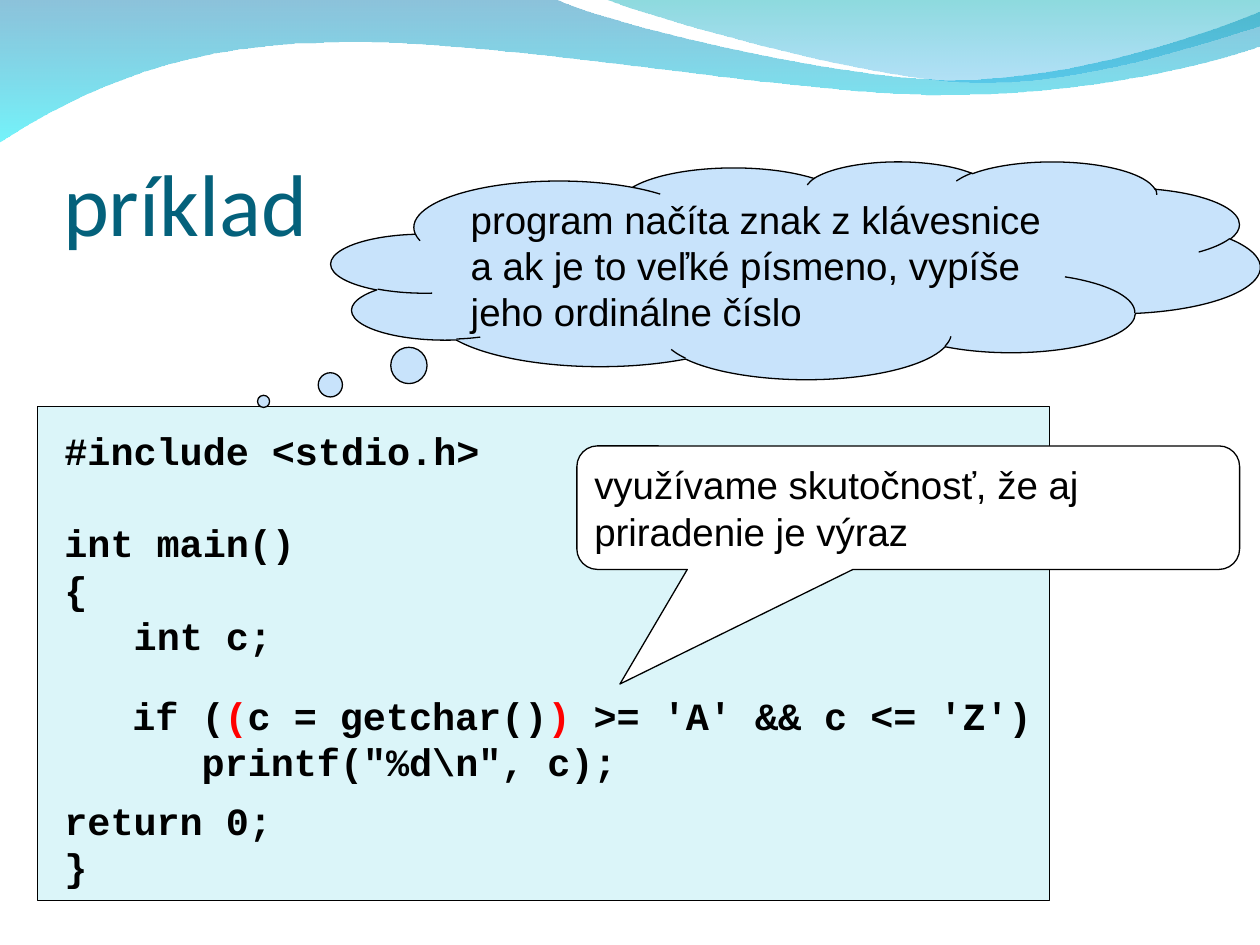
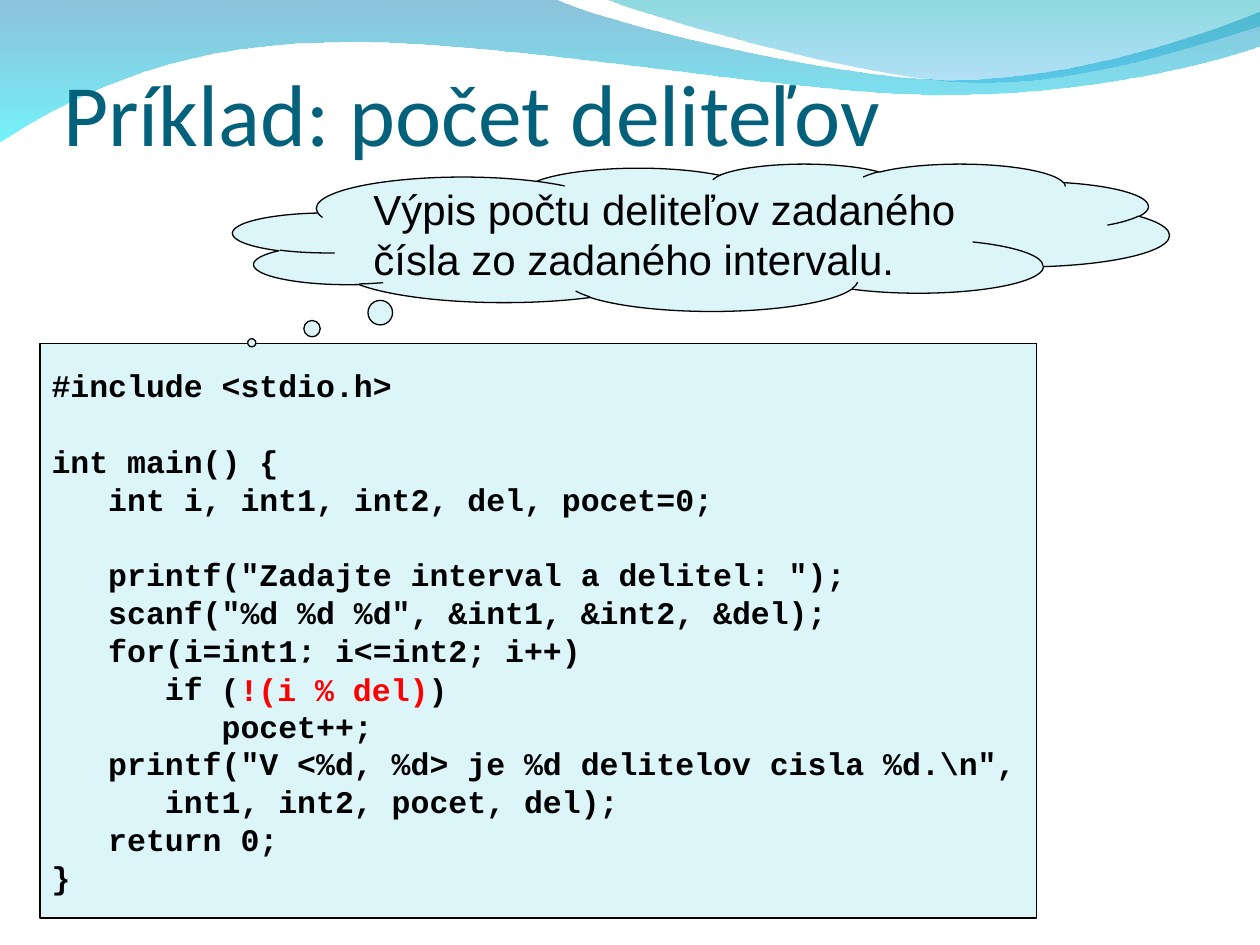
from lxml import etree
from pptx import Presentation
from pptx.dml.color import RGBColor
from pptx.enum.shapes import MSO_SHAPE
from pptx.enum.text import MSO_ANCHOR, MSO_AUTO_SIZE, PP_ALIGN
from pptx.oxml.ns import qn
from pptx.util import Cm, Pt

RECTANGLE = MSO_SHAPE.RECTANGLE
CLOUD = MSO_SHAPE.CLOUD_CALLOUT
SPEECH = MSO_SHAPE.ROUNDED_RECTANGULAR_CALLOUT
TOP, MIDDLE, BOTTOM = MSO_ANCHOR.TOP, MSO_ANCHOR.MIDDLE, MSO_ANCHOR.BOTTOM
LEFT = PP_ALIGN.LEFT
NO_AUTO_SIZE = MSO_AUTO_SIZE.NONE

BLACK = RGBColor(0x00, 0x00, 0x00)
WHITE = RGBColor(0xFF, 0xFF, 0xFF)
RED = RGBColor(0xFF, 0x00, 0x00)
TITLE_BLUE = RGBColor(0x04, 0x61, 0x7B)
PALE_CYAN = RGBColor(0xDB, 0xF5, 0xF9)
PALE_BLUE = RGBColor(0xC8, 0xE3, 0xFB)
WAVE_DARK = RGBColor(0x00, 0x79, 0xAF)
WAVE_CYAN = RGBColor(0x00, 0xEB, 0xF8)
WAVE_TEAL = RGBColor(0x00, 0xAD, 0xB6)
WAVE_SKY = RGBColor(0x00, 0x9B, 0xE5)

CODE_FONT = "Courier New"
LINE_PITCH = 1.2     # line height per point of text size
CODE_INDENT = 1.8    # three monospaced characters, per point of size


def write_text(shape, lines, font="Arial", size=22, color=BLACK, bold=False,
               anchor=MIDDLE, margins=(0.23, 0.13, 0, 0.13), pitch=LINE_PITCH):
    """Each line is (indent level, space before in points, runs); odd runs are red."""
    frame = shape.text_frame
    frame.word_wrap = True
    frame.auto_size = NO_AUTO_SIZE
    frame.vertical_anchor = anchor
    (frame.margin_left, frame.margin_top,
     frame.margin_right, frame.margin_bottom) = [Cm(margin) for margin in margins]
    for number, (level, gap, runs) in enumerate(lines):
        paragraph = frame.paragraphs[0] if number == 0 else frame.add_paragraph()
        paragraph.alignment = LEFT
        paragraph.space_before = Pt(gap)
        if pitch:
            paragraph.line_spacing = Pt(round(size * pitch, 1))
        if level:
            properties = paragraph._p.get_or_add_pPr()
            properties.set("marL", str(Pt(level * CODE_INDENT * size)))
        for position, text in enumerate(runs):
            run = paragraph.add_run()
            run.text = text
            run.font.name = font
            run.font.size = Pt(size)
            run.font.bold = bold
            run.font.color.rgb = RED if position % 2 else color


def add_panel(slide, kind, box, fill, adjustments=(), outlined=True):
    shape = slide.shapes.add_shape(kind, *[Cm(length) for length in box])
    shape.shadow.inherit = False
    shape.fill.solid()
    shape.fill.fore_color.rgb = fill
    if outlined:
        shape.line.color.rgb = BLACK
        shape.line.width = Pt(0.75)
    else:
        shape.line.fill.background()
    for index, value in enumerate(adjustments):
        shape.adjustments[index] = value
    return shape


presentation = Presentation()
presentation.slide_width = Cm(25.4)
presentation.slide_height = Cm(19.05)
title_only = presentation.slide_layouts[5]

# Slides with their titles
titles = [("príklad", 3.18), ("Príklad: počet deliteľov", 1.35)]
slides = []
for title_text, title_height in titles:
    slide = presentation.slides.add_slide(title_only)
    title = slide.shapes.title
    title.left, title.top = Cm(1.27), Cm(1.95)
    title.width, title.height = Cm(22.86), Cm(title_height)
    write_text(title, [(0, 0, [title_text])], font="Calibri", size=50,
               color=TITLE_BLUE, anchor=BOTTOM, margins=(0, 0.13, 0, 0), pitch=None)
    slides.append(slide)
getchar_slide, divisors_slide = slides

# Waves on the master: a segment has one point (line) or three (Bézier curve)
waves = [
    ((0, -0.03), [
        [(11.18, -0.03)],
        [(12.09, 0.43), (16.87, 1.6), (19.25, 1.6)],
        [(21.67, 1.6), (24.33, 0.66), (25.4, 0.23)],
        [(25.43, 0.91)],
        [(24.97, 1.12), (22.1, 1.93), (18.95, 1.91)],
        [(15.8, 1.91), (9.7, 0.71), (6.53, 0.86)],
        [(3.28, 0.89), (1.17, 2.11), (-0.03, 2.87)],
        [(0, -0.03)],
    ], [(WAVE_DARK, 45), (WAVE_CYAN, 55)]),
    ((12.17, -0.03), [
        [(12.93, 0.28), (17.32, 1.57), (19.53, 1.65)],
        [(21.74, 1.75), (24.41, 0.81), (25.4, 0.53)],
        [(25.4, 0)],
        [(12.17, -0.03)],
    ], [(WAVE_TEAL, 45), (WAVE_SKY, 30)]),
]
master_tree = presentation.slide_master.shapes.element
for layer, (start, segments, colors) in enumerate(waves):
    builder = getchar_slide.shapes.build_freeform(Cm(start[0]), Cm(start[1]), scale=1.0)
    builder.add_line_segments(
        [(Cm(x), Cm(y)) for segment in segments for x, y in segment], close=True)
    wave = builder.convert_to_shape()
    wave.shadow.inherit = False
    wave.line.fill.background()

    # Join each three control points into one curve
    steps = iter(list(wave.element.iter(qn("a:lnTo"))))
    for segment in segments:
        first, *others = [next(steps) for _ in segment]
        if others:
            first.tag = qn("a:cubicBezTo")
            for other in others:
                first.append(other[0])
                other.getparent().remove(other)

    wave.fill.gradient()
    wave.fill.gradient_angle = 270
    for stop, (color, _) in zip(wave.fill.gradient_stops, colors):
        stop.color.rgb = color
    for color_element, (_, opacity) in zip(wave.element.iter(qn("a:srgbClr")), colors):
        alpha = etree.SubElement(color_element, qn("a:alpha"))
        alpha.set("val", str(opacity * 1000))
    master_tree.insert(2 + layer, wave.element)

# Slide 1: reading a character
add_panel(getchar_slide, RECTANGLE, (0.76, 8.2, 20.4, 9.96), PALE_CYAN)
program_box = getchar_slide.shapes.add_textbox(Cm(1.07), Cm(8.48), Cm(8.84), Cm(9.55))
write_text(program_box, [
    (0, 0, ["#include <stdio.h>"]),
    (0, 26.4, ["int main()"]),
    (0, 0, ["{"]),
    (1, 0, ["int c;"]),
    (0, 79.2, ["return 0;"]),
    (0, 0, ["}"]),
], font=CODE_FONT, bold=True, anchor=TOP)

task_cloud = add_panel(getchar_slide, CLOUD, (6.68, 3.25, 18.72, 4.39), PALE_BLUE,
                       (-0.573, 0.603))
write_text(task_cloud, [
    (0, 5.5, ["program načíta znak z klávesnice a ak je to veľké písmeno, "
              "vypíše jeho ordinálne číslo"])])

condition_box = getchar_slide.shapes.add_textbox(Cm(2.44), Cm(13.82), Cm(18.59), Cm(2.08))
write_text(condition_box, [
    (0, 0, ["if (", "(", "c = getchar()", ") ", ">= 'A' && c <= 'Z')"]),
    (1, 0, ["printf(\"%d\\n\", c);"]),
], font=CODE_FONT, bold=True, anchor=TOP)

assignment_note = add_panel(getchar_slide, SPEECH, (11.63, 8.99, 13.36, 2.49), WHITE,
                            (-0.435, 1.428, 0.167))
write_text(assignment_note, [
    (0, 0, ["využívame skutočnosť, že aj priradenie je výraz"])])

# Slide 2: counting divisors
code_panel = add_panel(divisors_slide, RECTANGLE, (0.81, 6.93, 20.09, 11.58), PALE_CYAN)
write_text(code_panel, [
    (0, 0, ["#include <stdio.h>"]),
    (0, 21.6, ["int main() {"]),
    (1, 0, ["int i, int1, int2, del, pocet=0;"]),
    (1, 21.6, ["printf(\"Zadajte interval a delitel: \");"]),
    (1, 0, ["scanf(\"%d %d %d\", &int1, &int2, &del);"]),
    (1, 0, ["for(i=int1; i<=int2; i++)"]),
    (2, 0, ["if"]),
    (3, 0, ["pocet++;"]),
    (1, 0, ["printf(\"V <%d, %d> je %d delitelov cisla %d.\\n\","]),
    (2, 0, ["int1, int2, pocet, del);"]),
    (1, 0, ["return 0;"]),
    (0, 0, ["}"]),
], font=CODE_FONT, size=18, bold=True)

condition_patch = add_panel(divisors_slide, RECTANGLE, (4.22, 13.36, 4.95, 1.04),
                            PALE_CYAN, outlined=False)
write_text(condition_patch, [(0, 0, ["(", "!(i % del)", ")"])],
           font=CODE_FONT, size=18, bold=True)

task_cloud = add_panel(divisors_slide, CLOUD, (4.7, 3.3, 18.87, 2.97), PALE_CYAN,
                       (-0.48, 0.716))
write_text(task_cloud, [
    (0, 6, ["Výpis počtu deliteľov zadaného čísla zo zadaného intervalu."])], size=24)

presentation.save("out.pptx")
